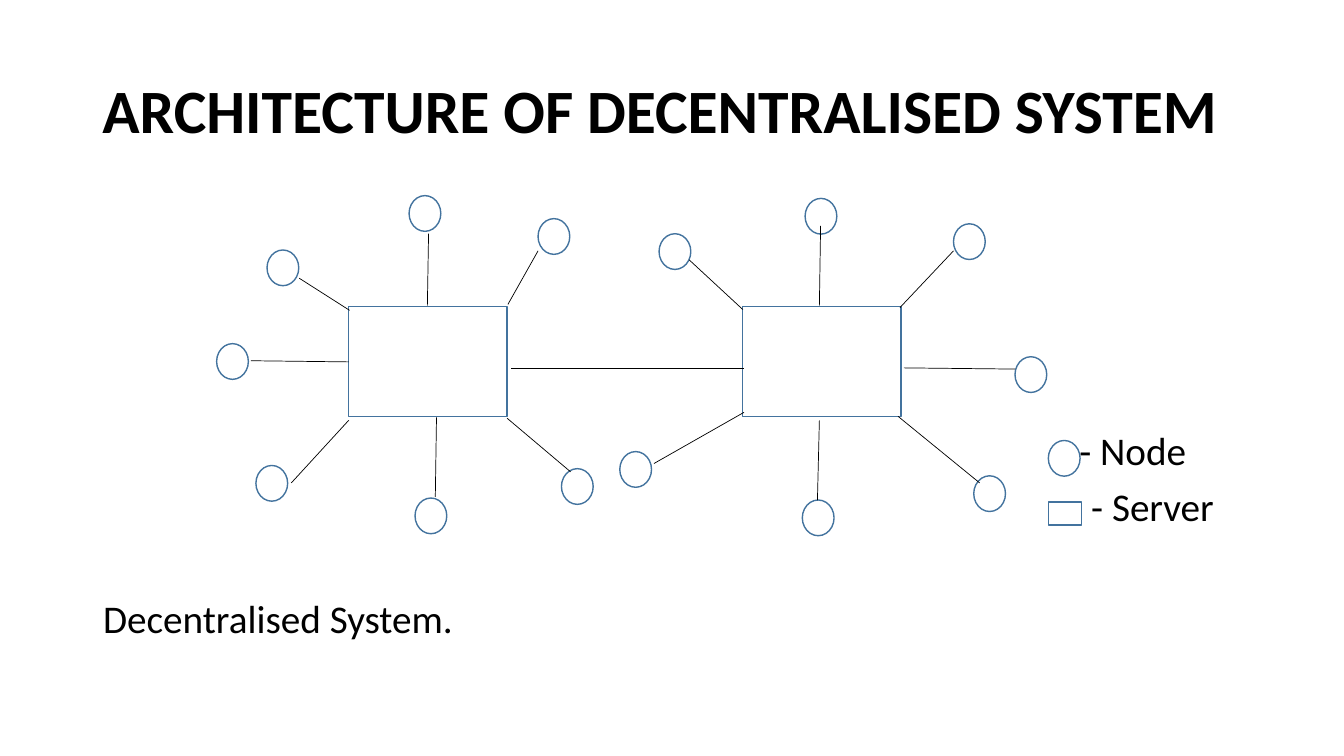
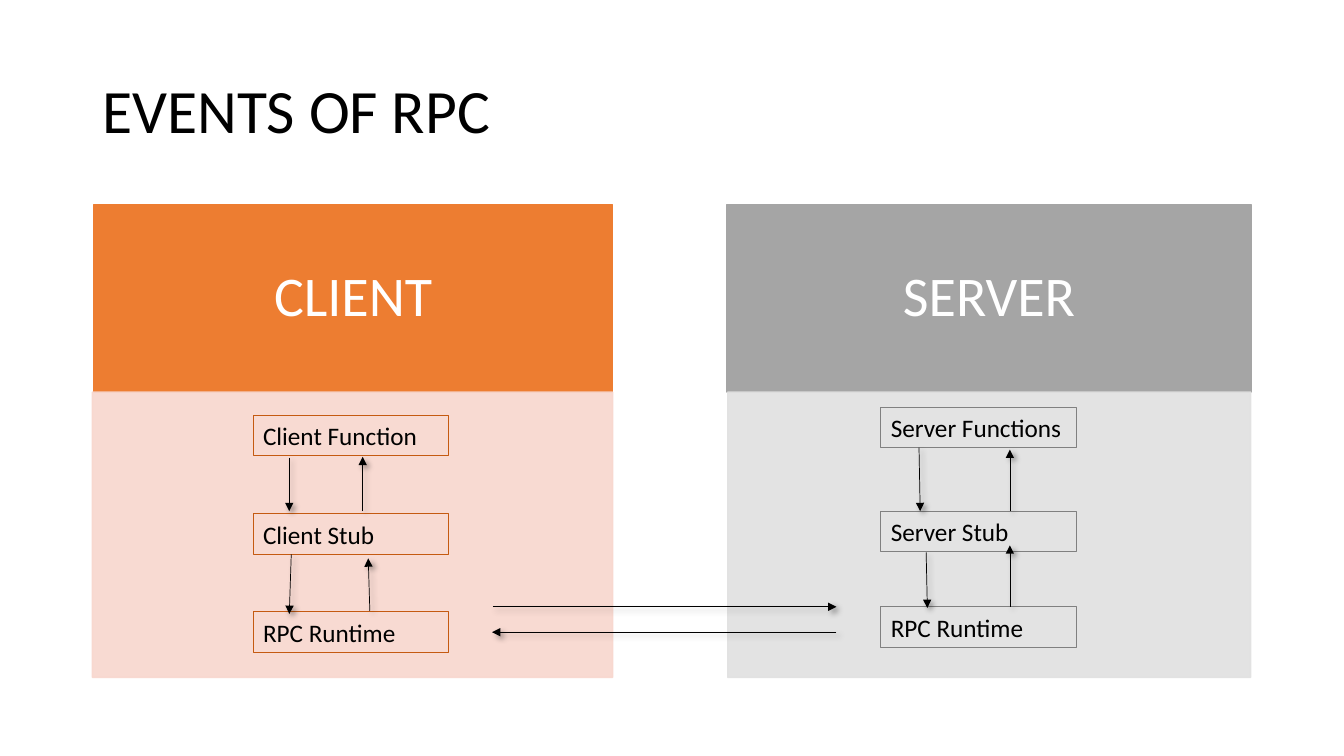
from dataclasses import dataclass
from lxml import etree
from pptx import Presentation
from pptx import util as u
from pptx.dml.color import RGBColor
from pptx.enum import shapes, text
from pptx.oxml.ns import qn


@dataclass(frozen=True)
class Theme:
    """Colours and type sizes of the deck."""
    font: str = "Calibri"
    ink: str = "000000"
    paper: str = "FFFFFF"
    outline: str = "43739E"
    client: tuple = ("ED7D31", "F8D7CE", "C55A11")  # header, body, box edge
    server: tuple = ("A5A5A5", "E1E1E1", "808080")
    title: int = 44
    header: int = 40
    body: int = 28
    box: int = 18
    spacing: float = 0.9


RECT = shapes.MSO_SHAPE.RECTANGLE
OVAL = shapes.MSO_SHAPE.OVAL
CENTER = text.PP_ALIGN.CENTER
NODE = (0.8, 0.9)
SERVER = (3.99, 2.77)
BOX = (4.93, 1.02)


def apply(obj, values):
    """Set each named attribute of an object."""
    for name, value in values.items():
        setattr(obj, name, value)


def cm(*values):
    """Turn numbers into centimetre lengths."""
    return [u.Cm(v) for v in values]


class Deck:
    """Holds the theme, the presentation and the current slide."""

    def __init__(self, theme):
        self.t = theme
        self.prs = Presentation()
        apply(self.prs, {"slide_width": u.Cm(33.87),
                         "slide_height": u.Cm(19.05)})

    def new_slide(self, title, bold=False):
        """Start a slide with its title."""
        self.s = self.prs.slides.add_slide(self.prs.slide_layouts[6])
        sp = self.s.shapes.add_textbox(*cm(2.33, 1.01, 29.21, 3.68))
        self.put_text(sp, title, self.t.title, bold=bold)

    def put_text(self, sp, words, size, color=None, align=text.PP_ALIGN.LEFT,
                 spacing=None, bold=False, **frame):
        """Put one styled paragraph into a shape."""
        tf = sp.text_frame
        apply(tf, {"word_wrap": True,
                   "vertical_anchor": text.MSO_ANCHOR.MIDDLE, **frame})
        p = tf.paragraphs[0]
        apply(p, {"alignment": align,
                  "line_spacing": spacing or self.t.spacing})
        r = p.add_run()
        r.text = words
        apply(r.font, {"name": self.t.font, "size": u.Pt(size), "bold": bold})
        r.font.color.rgb = RGBColor.from_string(color or self.t.ink)

    def label(self, x, y, w, words):
        """Add a line of body text without insets."""
        sp = self.s.shapes.add_textbox(*cm(x, y, w, 1.2))
        self.put_text(sp, words, self.t.body, margin_left=0, margin_right=0,
                      margin_top=0, margin_bottom=0)

    def shape(self, kind, at, size, line, fill=None, width=1, alpha=None):
        """Add a preset shape, hollow unless a fill is given."""
        sp = self.s.shapes.add_shape(kind, *cm(*at, *size))
        sp.shadow.inherit = False
        if fill:
            sp.fill.solid()
            sp.fill.fore_color.rgb = RGBColor.from_string(fill)
        else:
            sp.fill.background()
        sp.line.color.rgb = RGBColor.from_string(line)
        sp.line.width = u.Pt(width)
        if alpha:
            for clr in list(sp.element.spPr.iter(qn("a:srgbClr"))):
                etree.SubElement(clr, qn("a:alpha"), val=str(alpha * 1000))
        return sp

    def node(self, at):
        """Add a network node."""
        self.shape(OVAL, at, NODE, self.t.outline)

    def server(self, at, size=SERVER):
        """Add a server rectangle."""
        self.shape(RECT, at, size, self.t.outline)

    def link(self, start, end):
        """Add a plain thin line and return its effect list."""
        c = self.s.shapes.add_connector(shapes.MSO_CONNECTOR.STRAIGHT,
                                        *cm(*start, *end))
        c.line.color.rgb = RGBColor.from_string(self.t.ink)
        c.line.width = u.Pt(0.5)
        return etree.SubElement(c.element.spPr, qn("a:effectLst"))

    def arrow(self, start, end):
        """Add a line with an arrowhead and a soft shadow."""
        effects = self.link(start, end)
        ln = effects.getparent().find(qn("a:ln"))
        etree.SubElement(ln, qn("a:tailEnd"), type="triangle")
        shadow = etree.SubElement(
            effects, qn("a:outerShdw"), blurRad=str(u.Pt(4)),
            dist=str(u.Pt(3)), dir="2700000", algn="tl", rotWithShape="0")
        clr = etree.SubElement(shadow, qn("a:srgbClr"), val=self.t.ink)
        etree.SubElement(clr, qn("a:alpha"), val="40000")

    def panel(self, name, colors, head, body):
        """Add a header band above a tinted body; each is (left, width)."""
        fill, tint, _ = colors
        sp = self.shape(RECT, (head[0], 5.16), (head[1], 4.72), fill, fill)
        self.put_text(sp, name, self.t.header, self.t.paper, CENTER)
        self.shape(RECT, (body[0], 9.88), (body[1], 7.19), tint, tint,
                   alpha=90)

    def stack(self, left, edge, boxes):
        """Add a column of outlined boxes from (top, words) pairs."""
        for top, words in boxes:
            sp = self.shape(RECT, (left, top), BOX, edge, width=0.75)
            self.put_text(sp, words, self.t.box, spacing=1.0,
                          auto_size=text.MSO_AUTO_SIZE.SHAPE_TO_FIT_TEXT)


# node corner, link start at the node, link end at the server
SPOKES = [
    ((6.45, 11.73), (7.34, 12.17), (8.79, 10.59)),
    ((5.46, 8.66), (6.32, 9.09), (8.79, 9.12)),
    ((6.73, 6.3), (7.54, 7.01), (8.81, 7.82)),
    ((10.31, 4.93), (10.8, 5.89), (10.77, 7.7)),
    ((13.56, 5.51), (13.56, 6.32), (12.8, 7.67)),
    ((14.15, 11.81), (14.38, 11.89), (12.78, 10.54)),
    ((10.46, 12.55), (10.97, 12.52), (11, 10.52)),
    ((16.61, 5.89), (17.37, 6.55), (18.72, 7.8)),
    ((20.29, 5), (20.68, 5.69), (20.65, 7.7)),
    ((24.03, 5.64), (24.03, 6.32), (22.68, 7.75)),
    ((25.58, 8.99), (25.58, 9.3), (22.78, 9.27)),
    ((24.54, 11.99), (24.69, 12.17), (22.63, 10.49)),
    ((20.22, 12.6), (20.6, 12.6), (20.65, 10.59)),
    ((15.62, 11.38), (16.48, 11.68), (18.75, 10.39)),
]

CALLS = [
    ((7.29, 11.53), (7.29, 12.88)), ((9.14, 12.88), (9.14, 11.51)),
    ((7.34, 13.97), (7.29, 15.47)), ((9.32, 15.39), (9.28, 14.07)),
    ((12.42, 15.29), (21.08, 15.29)), ((21.08, 15.93), (12.4, 15.93)),
    ((23.16, 11.28), (23.19, 12.88)), ((25.45, 12.88), (25.45, 11.33)),
    ((23.34, 13.92), (23.37, 15.32)), ((25.45, 15.29), (25.45, 13.74)),
]


def architecture(deck):
    """Draw two linked servers with their nodes and a legend."""
    deck.new_slide("ARCHITECTURE OF DECENTRALISED SYSTEM", bold=True)
    for left in (8.79, 18.72):
        deck.server((left, 7.72))
    deck.link((12.88, 9.27), (18.75, 9.27))
    for corner, start, end in SPOKES:
        deck.node(corner)
        deck.link(start, end)
    deck.node((26.42, 11.1))
    deck.label(27.2, 10.81, 4, "- Node")
    deck.server((26.42, 12.65), (0.84, 0.58))
    deck.label(27.5, 12.23, 4, "- Server")
    deck.label(2.6, 15.05, 12, "Decentralised System.")


def rpc_events(deck):
    """Draw the client and server sides of a remote call."""
    t = deck.t
    deck.new_slide("EVENTS OF RPC")
    deck.panel("CLIENT", t.client, (2.37, 13.06), (2.33, 13.11))
    deck.panel("SERVER", t.server, (18.32, 13.21), (18.34, 13.18))
    deck.stack(6.38, t.client[2], [(10.46, "Client Function"),
                                   (12.95, "Client Stub"),
                                   (15.42, "RPC Runtime")])
    deck.stack(22.2, t.server[2], [(10.26, "Server Functions"),
                                   (12.88, "Server Stub"),
                                   (15.29, "RPC Runtime")])
    for start, end in CALLS:
        deck.arrow(start, end)


deck = Deck(Theme())
architecture(deck)
rpc_events(deck)
deck.prs.save("out.pptx")
